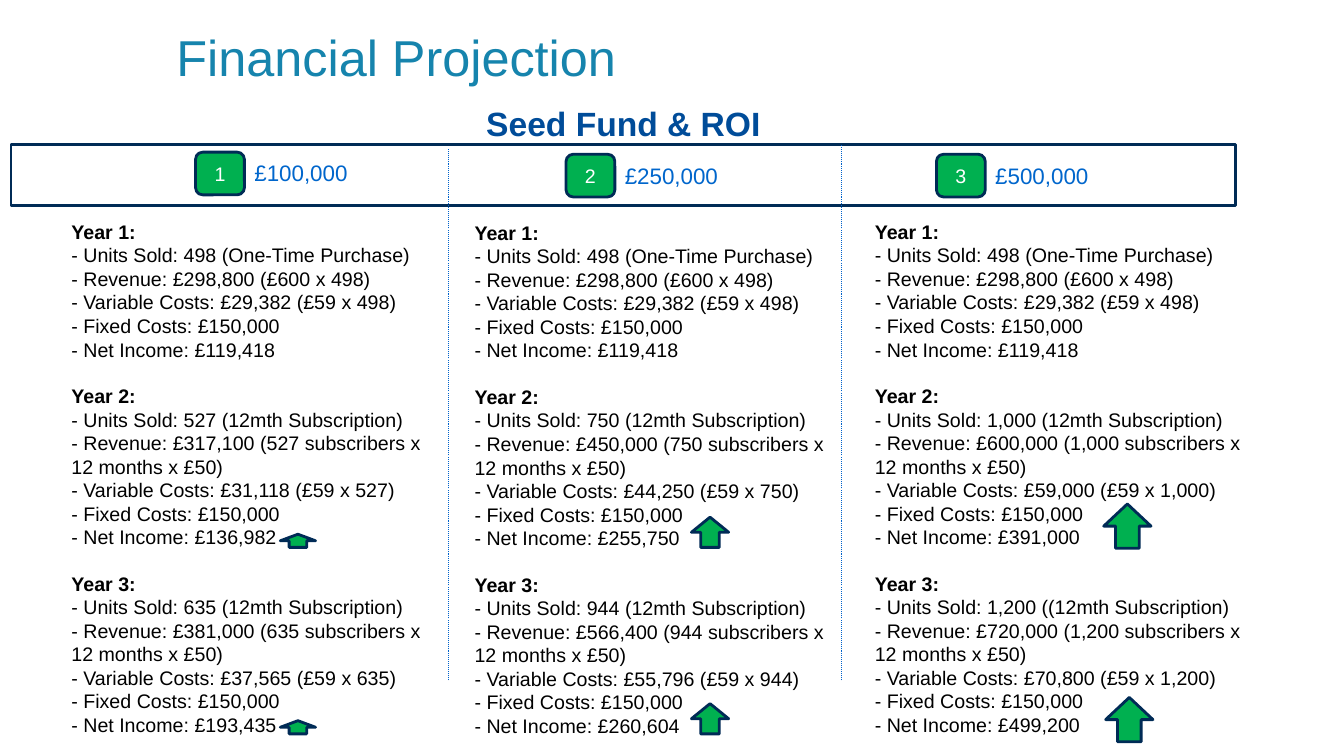
"""Build the Financial Projection slide comparing three seed fund levels."""
from lxml.etree import SubElement
from pptx import Presentation
from pptx.dml.color import RGBColor
from pptx.enum.dml import MSO_LINE
from pptx.enum.shapes import MSO_CONNECTOR, MSO_SHAPE
from pptx.enum.text import MSO_ANCHOR, MSO_AUTO_SIZE, PP_ALIGN
from pptx.oxml.ns import qn
from pptx.util import Pt

TEAL = RGBColor(0x16, 0x84, 0xAD)
HEADING_BLUE = RGBColor(0x00, 0x4C, 0x99)
FUND_BLUE = RGBColor(0x00, 0x66, 0xCC)
DIVIDER_BLUE = RGBColor(0x00, 0x62, 0xCB)
NAVY = RGBColor(0x00, 0x2B, 0x56)
GREEN = RGBColor(0x00, 0xB0, 0x50)
WHITE = RGBColor(0xFF, 0xFF, 0xFF)
BLACK = RGBColor(0x00, 0x00, 0x00)

TITLE = "Financial Projection"
HEADING = "Seed Fund & ROI"
FIXED_COSTS = "£150,000"
YEAR_1 = ("498 (One-Time Purchase)", "£298,800 (£600 x 498)",
          "£29,382 (£59 x 498)", "£119,418")
FUNDS = [
    {"amount": "£100,000", "badge_top": 108.7, "left": 43.9, "top": 153.4, "width": 272,
     "years": [YEAR_1,
               ("527 (12mth Subscription)",
                "£317,100 (527 subscribers x 12 months x £50)",
                "£31,118 (£59 x 527)", "£136,982"),
               ("635 (12mth Subscription)",
                "£381,000 (635 subscribers x 12 months x £50)",
                "£37,565 (£59 x 635)", "£193,435")],
     "arrows": [(200.2, 381.6, 25.2, 9.4), (200.2, 514.8, 25.2, 9.4)]},
    {"amount": "£250,000", "badge_top": 110.2, "left": 331.9, "top": 154.1, "width": 268.6,
     "years": [YEAR_1,
               ("750 (12mth Subscription)",
                "£450,000 (750 subscribers x 12 months x £50)",
                "£44,250 (£59 x 750)", "£255,750"),
               ("944 (12mth Subscription)",
                "£566,400 (944 subscribers x 12 months x £50)",
                "£55,796 (£59 x 944)", "£260,604")],
     "arrows": [(493.9, 369.4, 26.6, 21.6), (493.9, 502.6, 26.6, 21.6)]},
    {"amount": "£500,000", "badge_top": 110.2, "left": 617.8, "top": 153.4, "width": 288,
     "years": [YEAR_1,
               ("1,000 (12mth Subscription)",
                "£600,000 (1,000 subscribers x 12 months x £50)",
                "£59,000 (£59 x 1,000)", "£391,000"),
               ("1,200 ((12mth Subscription)",
                "£720,000 (1,200 subscribers x 12 months x £50)",
                "£70,800 (£59 x 1,200)", "£499,200")],
     "arrows": [(788.4, 360, 33.8, 31.7), (789.8, 498.2, 33.8, 31.7)]},
]
DIVIDERS = [(320.4, 106.6), (601.2, 103)]
DIVIDER_BOTTOM = 486
BADGE_LEFT, BADGE_STEP, BADGE_WIDTH, BADGE_HEIGHT = 139.7, 264.6, 34.9, 30.5
BAND = (7.9, 103, 874.8, 43.9)
LINE_PITCH, YEAR_GAP, COLUMN_HEIGHT = 16.8, 16.4, 380.5


def write(frame, text, size, color, bold=False, align=PP_ALIGN.LEFT,
          anchor=MSO_ANCHOR.TOP, pitch=None, before=0, more=False):
    """Write one paragraph into a text frame, adding it after others if more."""
    frame.word_wrap = True
    frame.auto_size = MSO_AUTO_SIZE.NONE
    frame.vertical_anchor = anchor
    paragraph = frame.add_paragraph() if more else frame.paragraphs[0]
    paragraph.alignment = align
    if pitch:
        paragraph.line_spacing = Pt(pitch)
    if before:
        paragraph.space_before = Pt(before)
    run = paragraph.add_run()
    run.text = text
    run.font.name = "Arial"
    run.font.size = Pt(size)
    run.font.bold = bold
    run.font.color.rgb = color


def add_outlined(slide, preset, box, fill=None):
    """Add a navy-outlined shape, hollow when no fill is given."""
    shape = slide.shapes.add_shape(preset, *map(Pt, box))
    shape.shadow.inherit = False
    shape.line.color.rgb = NAVY
    shape.line.width = Pt(2)
    if fill is None:
        shape.fill.background()
    else:
        shape.fill.solid()
        shape.fill.fore_color.rgb = fill
    return shape


def add_frame(slide, *box):
    """Add a text box and return its text frame."""
    return slide.shapes.add_textbox(*map(Pt, box)).text_frame


def add_divider(slide, x, top):
    """Add a dotted vertical line between two columns."""
    divider = slide.shapes.add_connector(
        MSO_CONNECTOR.STRAIGHT, Pt(x), Pt(DIVIDER_BOTTOM), Pt(x), Pt(top))
    divider.line.color.rgb = DIVIDER_BLUE
    divider.line.width = Pt(0.75)
    divider.line.dash_style = MSO_LINE.ROUND_DOT
    SubElement(divider._element.spPr, qn("a:effectLst"))


def add_projection(slide, fund):
    """Write the yearly figures of one fund as a column."""
    frame = add_frame(slide, fund["left"], fund["top"], fund["width"], COLUMN_HEIGHT)
    for year, (units, revenue, variable, net) in enumerate(fund["years"], 1):
        write(frame, f"Year {year}:", 14, BLACK, bold=True, pitch=LINE_PITCH,
              before=YEAR_GAP if year > 1 else 0, more=year > 1)
        figures = [("Units Sold", units), ("Revenue", revenue),
                   ("Variable Costs", variable), ("Fixed Costs", FIXED_COSTS),
                   ("Net Income", net)]
        for label, value in figures:
            write(frame, f"- {label}: {value}", 14, BLACK, pitch=LINE_PITCH, more=True)


def main():
    """Lay out the slide and save it."""
    deck = Presentation()
    deck.slide_width, deck.slide_height = Pt(960), Pt(540)
    slide = deck.slides.add_slide(deck.slide_layouts[5])

    title = slide.shapes.title
    title.left, title.top, title.width, title.height = map(Pt, (118.8, 8.6, 776.2, 63.4))
    write(title.text_frame, TITLE, 36, TEAL, anchor=MSO_ANCHOR.MIDDLE)
    write(add_frame(slide, 7.9, 69.8, 874.8, 36), HEADING, 24, HEADING_BLUE,
          bold=True, align=PP_ALIGN.CENTER)

    for index, fund in enumerate(FUNDS):
        left, top = BADGE_LEFT + index * BADGE_STEP, fund["badge_top"]
        badge = add_outlined(slide, MSO_SHAPE.ROUNDED_RECTANGLE,
                             (left, top, BADGE_WIDTH, BADGE_HEIGHT), GREEN)
        write(badge.text_frame, str(index + 1), 14, WHITE,
              align=PP_ALIGN.CENTER, anchor=MSO_ANCHOR.MIDDLE)
        write(add_frame(slide, left + BADGE_WIDTH, top + 1.8, 82.1, 26.6),
              fund["amount"], 16, FUND_BLUE)
    add_outlined(slide, MSO_SHAPE.RECTANGLE, BAND)

    for x, top in DIVIDERS:
        add_divider(slide, x, top)
    for fund in FUNDS:
        add_projection(slide, fund)
        for arrow in fund["arrows"]:
            add_outlined(slide, MSO_SHAPE.UP_ARROW, arrow, GREEN)
    deck.save("out.pptx")


if __name__ == "__main__":
    main()
